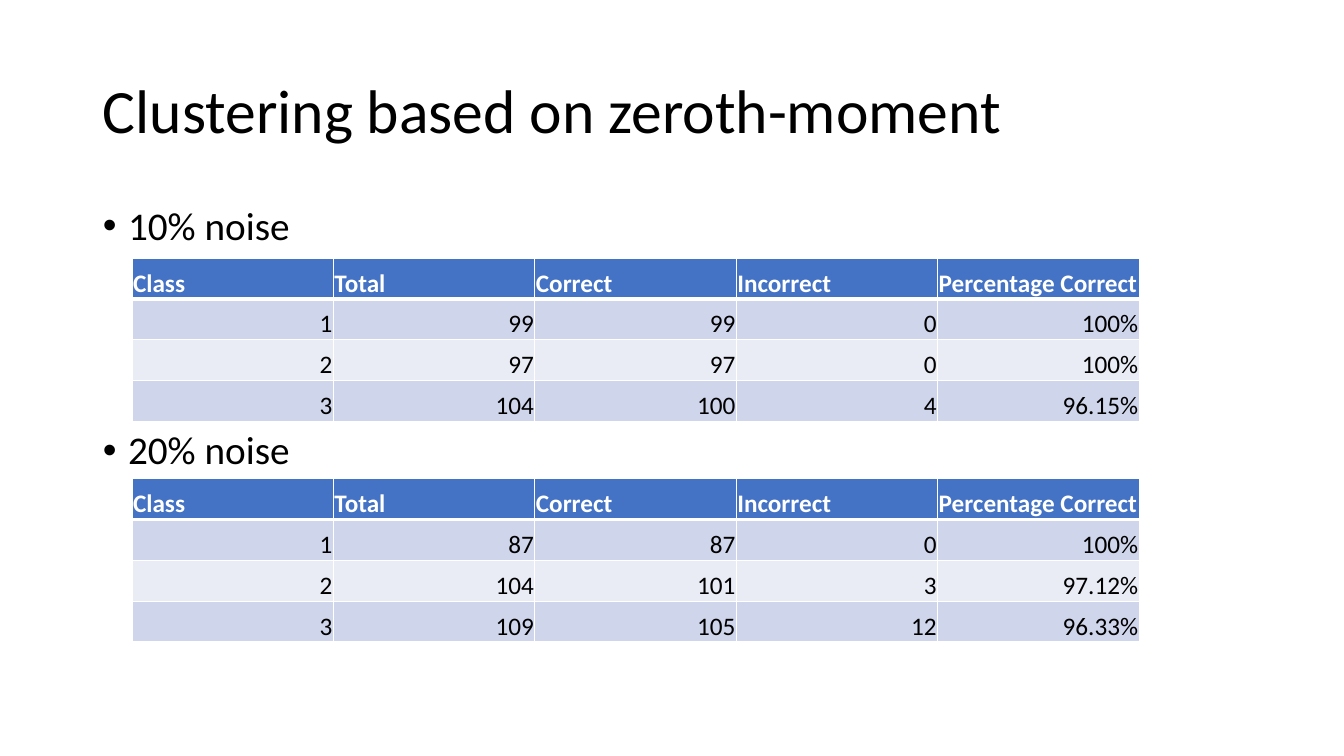
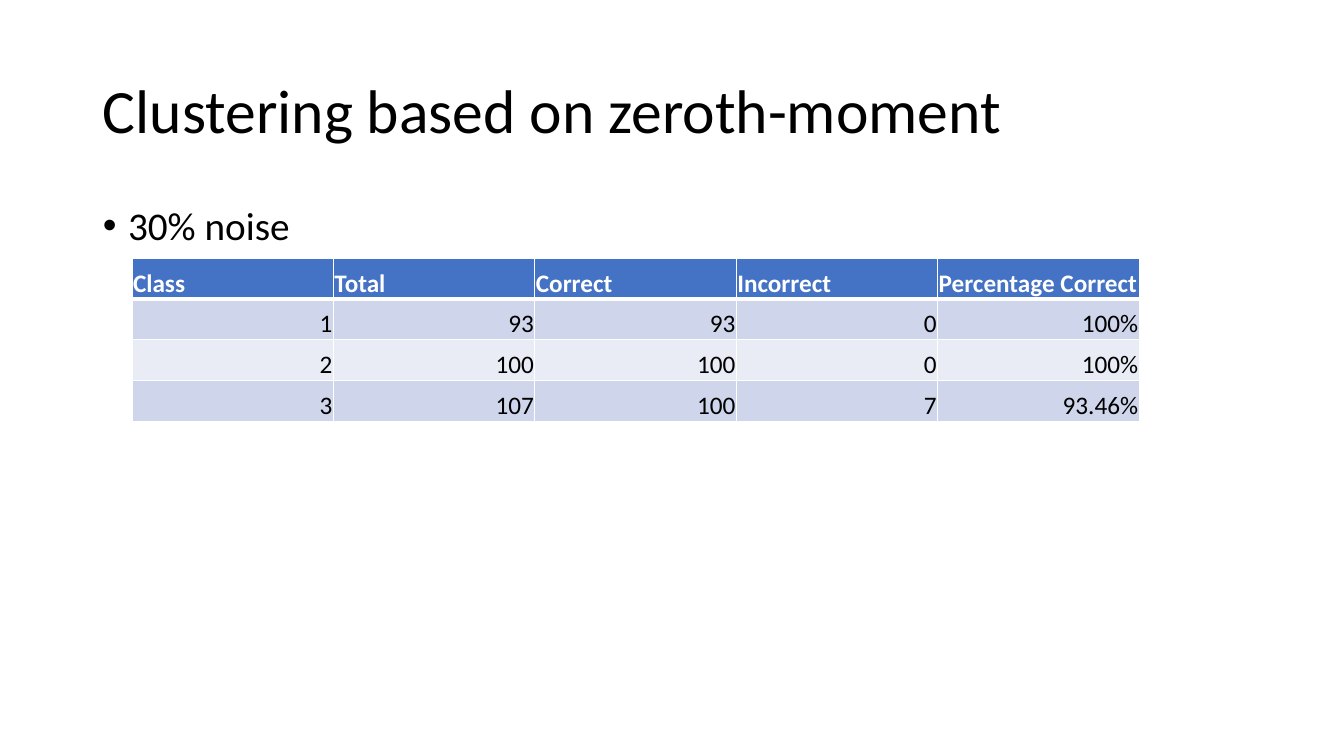
from dataclasses import dataclass

from lxml.etree import SubElement
from pptx import Presentation
from pptx.dml.color import RGBColor
from pptx.enum.text import MSO_ANCHOR as Anchor, MSO_AUTO_SIZE as AutoSize, PP_ALIGN as Align
from pptx.oxml.ns import qn
from pptx.util import Inches, Pt


@dataclass(frozen=True)
class Theme:
    font: str = "Calibri"
    ink: str = "000000"
    white: str = "FFFFFF"
    header: str = "4472C4"
    bands: tuple[str, str] = ("CFD5EA", "E9EBF5")
    title_size: int = 44
    bullet_size: int = 28
    table_size: int = 18
    thin_rule: int = 1
    header_rule: int = 3


@dataclass(frozen=True)
class Box:
    left: float
    top: float
    width: float
    height: float


@dataclass(frozen=True)
class NoiseResult:
    label: str
    table_top: float
    rows: tuple[tuple[str, ...], ...]
    space_before: int = 10


THEME = Theme()
TITLE = "Clustering based on zeroth-moment"
TITLE_BOX = Box(0.92, 0.4, 11.5, 1.45)
BODY_BOX = Box(0.92, 2, 11.5, 4.76)
TABLE_LEFT, TABLE_WIDTH, ROW_HEIGHT = 1.31, 9.99, 0.405
CELL_INSET = 0.01
BULLET_INDENT = 0.25
HEADINGS = ("Class", "Total", "Correct", "Incorrect", "Percentage Correct")

# Results, grouped by slide
SLIDES = (
    (
        NoiseResult("10% noise", 2.56, (
            ("1", "99", "99", "0", "100%"),
            ("2", "97", "97", "0", "100%"),
            ("3", "104", "100", "4", "96.15%"),
        )),
        # The wide space leaves room for the table above
        NoiseResult("20% noise", 4.75, (
            ("1", "87", "87", "0", "100%"),
            ("2", "104", "101", "3", "97.12%"),
            ("3", "109", "105", "12", "96.33%"),
        ), space_before=130),
    ),
    (
        NoiseResult("30% noise", 2.56, (
            ("1", "93", "93", "0", "100%"),
            ("2", "100", "100", "0", "100%"),
            ("3", "107", "100", "7", "93.46%"),
        )),
    ),
)


def write(paragraph, text: str, *, size: int, color: str = THEME.ink, bold: bool = False,
          align: Align = Align.LEFT, line_spacing: float = 1.0, space_before: int = 0) -> None:
    paragraph.alignment = align
    paragraph.line_spacing = line_spacing
    paragraph.space_before = Pt(space_before)
    run = paragraph.add_run()
    run.text = text
    run.font.name = THEME.font
    run.font.size = Pt(size)
    run.font.bold = bold
    run.font.color.rgb = RGBColor.from_string(color)


def place(placeholder, box: Box, anchor: Anchor):
    placeholder.left, placeholder.top = Inches(box.left), Inches(box.top)
    placeholder.width, placeholder.height = Inches(box.width), Inches(box.height)
    frame = placeholder.text_frame
    frame.word_wrap = True
    frame.auto_size = AutoSize.NONE
    frame.vertical_anchor = anchor
    return frame


def add_bullet(paragraph) -> None:
    properties = paragraph._p.get_or_add_pPr()
    properties.set("marL", str(Inches(BULLET_INDENT)))
    properties.set("indent", str(-Inches(BULLET_INDENT)))
    SubElement(properties, qn("a:buFont"), typeface="Arial")
    SubElement(properties, qn("a:buChar"), char="\u2022")


def add_borders(cell, top: int, bottom: int) -> None:
    properties = cell._tc.get_or_add_tcPr()
    widths = {"L": THEME.thin_rule, "R": THEME.thin_rule, "T": top, "B": bottom}
    for side, width in widths.items():
        line = SubElement(properties, qn(f"a:ln{side}"), w=str(Pt(width)))
        SubElement(SubElement(line, qn("a:solidFill")), qn("a:srgbClr"), val=THEME.white)


def format_cell(cell, text: str, row: int) -> None:
    is_header = row == 0
    add_borders(cell, top=THEME.header_rule if row == 1 else THEME.thin_rule,
                bottom=THEME.header_rule if is_header else THEME.thin_rule)
    cell.fill.solid()
    fill = THEME.header if is_header else THEME.bands[(row - 1) % 2]
    cell.fill.fore_color.rgb = RGBColor.from_string(fill)
    cell.vertical_anchor = Anchor.BOTTOM
    cell.margin_left = cell.margin_right = cell.margin_top = Inches(CELL_INSET)
    cell.margin_bottom = 0
    write(cell.text_frame.paragraphs[0], text, size=THEME.table_size, bold=is_header,
          color=THEME.white if is_header else THEME.ink,
          align=Align.LEFT if is_header else Align.RIGHT)


def add_result_table(slide, result: NoiseResult) -> None:
    records = (HEADINGS, *result.rows)
    table = slide.shapes.add_table(
        len(records), len(HEADINGS), Inches(TABLE_LEFT), Inches(result.table_top),
        Inches(TABLE_WIDTH), Inches(ROW_HEIGHT * len(records))).table
    for row, record in enumerate(records):
        for column, text in enumerate(record):
            format_cell(table.cell(row, column), text, row)


def add_result_slide(deck, results: tuple[NoiseResult, ...]) -> None:
    slide = deck.slides.add_slide(deck.slide_layouts[1])

    # Title
    heading = place(slide.shapes.title, TITLE_BOX, Anchor.MIDDLE)
    write(heading.paragraphs[0], TITLE, size=THEME.title_size, line_spacing=0.9)

    # Noise levels, each with its table
    noise_list = place(slide.placeholders[1], BODY_BOX, Anchor.TOP)
    for index, result in enumerate(results):
        level = noise_list.add_paragraph() if index else noise_list.paragraphs[0]
        write(level, result.label, size=THEME.bullet_size, line_spacing=0.9,
              space_before=result.space_before)
        add_bullet(level)
        add_result_table(slide, result)


def main() -> None:
    deck = Presentation()
    deck.slide_width, deck.slide_height = Inches(13.33), Inches(7.5)
    for results in SLIDES:
        add_result_slide(deck, results)
    deck.save("out.pptx")


main()
